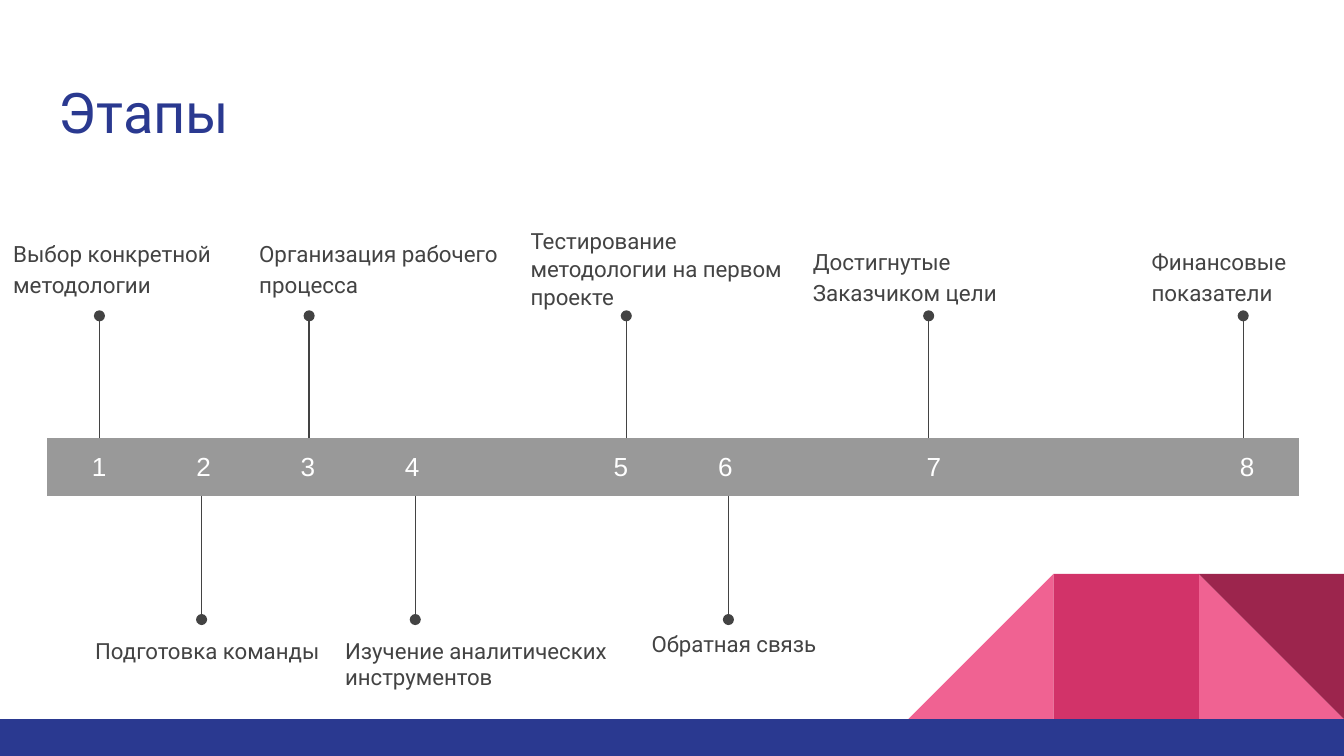
from dataclasses import dataclass

from lxml.etree import SubElement
from pptx import Presentation
from pptx.dml.color import RGBColor
from pptx.enum.shapes import MSO_CONNECTOR, MSO_SHAPE
from pptx.enum.text import MSO_ANCHOR, PP_ALIGN
from pptx.oxml.ns import qn
from pptx.util import Inches, Pt

NAVY = RGBColor(0x2A, 0x39, 0x90)
PINK = RGBColor(0xF0, 0x62, 0x92)
CRIMSON = RGBColor(0xD2, 0x33, 0x69)
WINE = RGBColor(0x9C, 0x25, 0x4D)
DARK = RGBColor(0x43, 0x43, 0x43)
GRAY = RGBColor(0x99, 0x99, 0x99)
WHITE = RGBColor(0xFF, 0xFF, 0xFF)

NO_STYLE = "{2D5ABB26-0587-4C30-8999-92F81FD0307C}"
COLUMNS = 12
BAR_LEFT, BAR_TOP, BAR_WIDTH, BAR_HEIGHT = 0.35, 3.26, 9.32, 0.43
BAR_BOTTOM = BAR_TOP + BAR_HEIGHT
TILE = 1.08
TILE_TOP = 4.27


@dataclass
class Stage:
    column: int
    text: str
    pin_x: float
    left: float
    top: float
    width: float
    above: bool = True
    size: float = 12
    spacing: float = 1.15


@dataclass
class Tile:
    left: float
    shape: MSO_SHAPE
    color: RGBColor
    rotation: float = 0
    flipped: bool = False


STAGES = [
    Stage(0, "Выбор конкретной методологии", 0.74, 0, 1.66, 1.73),
    Stage(1, "Подготовка команды", 1.5, 0.61, 4.66, 1.98, False, 11.9, 0.95),
    Stage(2, "Организация рабочего процесса", 2.3, 1.83, 1.66, 2.33),
    Stage(3, "Изучение аналитических инструментов", 3.09, 2.47, 4.66, 2.53, False, 11.9, 0.95),
    Stage(5, "Тестирование методологии на первом проекте", 4.66, 3.85, 1.58, 2.33, True, 11.9, 1.05),
    Stage(6, "Обратная связь", 5.42, 4.75, 4.61, 1.98, False, 11.9, 0.95),
    Stage(8, "Достигнутые Заказчиком цели", 6.91, 5.95, 1.72, 1.73),
    Stage(11, "Финансовые показатели", 9.25, 8.47, 1.72, 1.42),
]

TILES = [
    Tile(8.92, MSO_SHAPE.RIGHT_TRIANGLE, PINK),
    Tile(6.76, MSO_SHAPE.RIGHT_TRIANGLE, PINK, flipped=True),
    Tile(7.84, MSO_SHAPE.RECTANGLE, CRIMSON),
    Tile(8.92, MSO_SHAPE.RIGHT_TRIANGLE, WINE, rotation=180),
]


def add_run(p, text: str, font: str, size: float, color: RGBColor) -> None:
    r = p.add_run()
    r.text = text
    r.font.name = font
    r.font.size = Pt(size)
    r.font.color.rgb = color


def add_filled(s, shape: MSO_SHAPE, left: float, top: float, width: float, height: float, color: RGBColor):
    sp = s.shapes.add_shape(shape, Inches(left), Inches(top), Inches(width), Inches(height))
    sp.shadow.inherit = False
    sp.fill.solid()
    sp.fill.fore_color.rgb = color
    sp.line.fill.background()
    return sp


def add_tile(s, tile: Tile) -> None:
    sp = add_filled(s, tile.shape, tile.left, TILE_TOP, TILE, TILE, tile.color)
    sp.rotation = tile.rotation
    if tile.flipped:
        sp._element.spPr.find(qn("a:xfrm")).set("flipH", "1")


def add_text(s, left: float, top: float, width: float, height: float, text: str,
             size: float, color: RGBColor, spacing: float = 1.0,
             anchor: MSO_ANCHOR = MSO_ANCHOR.TOP) -> None:
    tf = s.shapes.add_textbox(Inches(left), Inches(top), Inches(width), Inches(height)).text_frame
    tf.word_wrap = True
    tf.vertical_anchor = anchor
    tf.margin_left = tf.margin_right = tf.margin_top = tf.margin_bottom = Inches(0.1)
    p = tf.paragraphs[0]
    p.line_spacing = spacing
    add_run(p, text, "Roboto", size, color)


def add_pin(s, x: float, start: float, end: float) -> None:
    """Draw a vertical line from the bar that ends in a dot."""
    line = s.shapes.add_connector(MSO_CONNECTOR.STRAIGHT, Inches(x), Inches(start), Inches(x), Inches(end))
    line.line.color.rgb = DARK
    line.line.width = Pt(0.75)
    SubElement(line.line._get_or_add_ln(), qn("a:tailEnd"), type="oval")
    SubElement(line._element.spPr, qn("a:effectLst"))


def add_stage(s, stage: Stage) -> None:
    if stage.above:
        add_pin(s, stage.pin_x, BAR_TOP, 2.35)
    else:
        add_pin(s, stage.pin_x, BAR_BOTTOM, 4.61)
    add_text(s, stage.left, stage.top, stage.width, 0.63, stage.text, stage.size, DARK, stage.spacing)


def add_bar(s) -> None:
    """Draw the one-row table that numbers the stages."""
    frame = s.shapes.add_table(1, COLUMNS, Inches(BAR_LEFT), Inches(BAR_TOP),
                               Inches(BAR_WIDTH), Inches(BAR_HEIGHT))
    table = frame.table
    table.first_row = table.horz_banding = False
    table._tbl.tblPr.find(qn("a:tableStyleId")).text = NO_STYLE
    numbers = {stage.column: str(n) for n, stage in enumerate(STAGES, 1)}
    for column, cell in enumerate(table.iter_cells()):
        cell.fill.solid()
        cell.fill.fore_color.rgb = GRAY
        cell.margin_top = cell.margin_bottom = 0
        cell.vertical_anchor = MSO_ANCHOR.MIDDLE
        if column in numbers:
            p = cell.text_frame.paragraphs[0]
            p.alignment = PP_ALIGN.CENTER
            add_run(p, numbers[column], "Arial", 14, WHITE)


def main() -> None:
    prs = Presentation()
    prs.slide_width, prs.slide_height = Inches(10), Inches(5.625)
    s = prs.slides.add_slide(prs.slide_layouts[6])
    for tile in TILES:
        add_tile(s, tile)
    add_filled(s, MSO_SHAPE.RECTANGLE, 0, 5.35, 10, 0.28, NAVY)
    add_text(s, 0.34, 0.45, 9.32, 0.76, "Этапы", 30, NAVY, anchor=MSO_ANCHOR.MIDDLE)
    add_bar(s)
    for stage in STAGES:
        add_stage(s, stage)
    prs.save("out.pptx")


if __name__ == "__main__":
    main()
